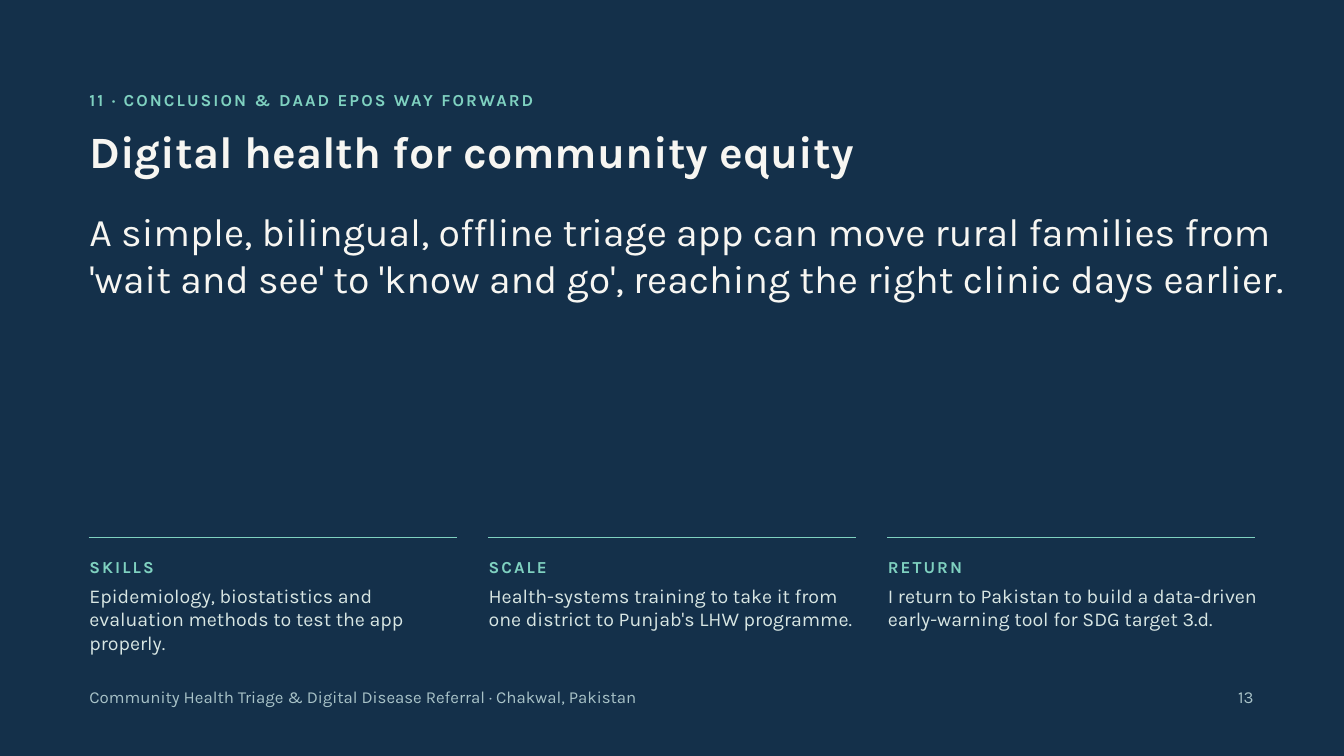
from dataclasses import dataclass

from lxml.etree import SubElement
from pptx import Presentation
from pptx.dml.color import RGBColor as RGB
from pptx.enum.shapes import MSO_CONNECTOR as CONN
from pptx.enum.text import MSO_ANCHOR as ANCHOR, MSO_AUTO_SIZE as FIT, PP_ALIGN as ALIGN
from pptx.oxml.ns import qn
from pptx.util import Cm, Pt


@dataclass(frozen=True)
class Style:
    size: float
    color: RGB
    bold: bool = False
    leading: float = 21.6
    tracking: float = 0


@dataclass(frozen=True)
class Theme:
    font: str = "Karla"
    background: RGB = RGB(0x14, 0x30, 0x4A)
    accent: RGB = RGB(0x7F, 0xD1, 0xC0)
    rule: float = 0.75
    label: Style = Style(18, RGB(0x7F, 0xD1, 0xC0), True, tracking=2.2)
    title: Style = Style(48, RGB(0xF7, 0xF6, 0xF2), True, 57.6)
    statement: Style = Style(42, RGB(0xF7, 0xF6, 0xF2), leading=50.4)
    detail: Style = Style(21, RGB(0xD8, 0xE6, 0xE3), leading=25.2)
    footer: Style = Style(18, RGB(0xA9, 0xC3, 0xC8))


THEME = Theme()
LINE_H = 0.99

COLUMNS = [
    ("SKILLS", "Epidemiology, biostatistics and evaluation methods to test the app properly."),
    ("SCALE", "Health-systems training to take it from one district to Punjab's LHW programme."),
    ("RETURN", "I return to Pakistan to build a data-driven early-warning tool for SDG target 3.d."),
]


def write(sp, text, style, align=ALIGN.LEFT):
    """Fill a text shape with one styled paragraph and no margins."""
    tf = sp.text_frame
    tf.word_wrap = True
    tf.auto_size = FIT.NONE
    tf.vertical_anchor = ANCHOR.TOP
    tf.margin_left = tf.margin_top = tf.margin_right = tf.margin_bottom = 0
    p = tf.paragraphs[0]
    p.alignment = align
    p.line_spacing = Pt(style.leading)
    p.space_before = Pt(0)
    r = p.add_run()
    r.text = text
    r.font.name = THEME.font
    r.font.size = Pt(style.size)
    r.font.bold = style.bold
    r.font.color.rgb = style.color
    if style.tracking:
        r.font._element.set("spc", str(round(style.tracking * 100)))
    return p


def add_text(s, x, y, w, h, text, style, align=ALIGN.LEFT):
    write(s.shapes.add_textbox(Cm(x), Cm(y), Cm(w), Cm(h)), text, style, align)


def place(sp, x, y, w, h):
    sp.left, sp.top, sp.width, sp.height = Cm(x), Cm(y), Cm(w), Cm(h)


def add_heading(s, x, y, w, eyebrow, title):
    add_text(s, x, y, w, LINE_H, eyebrow, THEME.label)
    place(s.shapes.title, x, y + 1.29, w, 2)
    write(s.shapes.title, title, THEME.title)


def add_statement(s, x, y, w, h, text):
    body = s.placeholders[1]
    place(body, x, y, w, h)
    p = write(body, text, THEME.statement)
    pPr = p._p.get_or_add_pPr()
    pPr.set("marL", "0")
    pPr.set("indent", "0")
    SubElement(pPr, qn("a:buNone"))


def add_column(s, x, y, w, label, detail):
    """Rule on top, then a label and its detail text."""
    rule = s.shapes.add_connector(CONN.STRAIGHT, Cm(x - 0.03), Cm(y), Cm(x + w - 0.36), Cm(y))
    rule.line.color.rgb = THEME.accent
    rule.line.width = Pt(THEME.rule)
    SubElement(rule._element.spPr, qn("a:effectLst"))
    add_text(s, x, y + 0.72, w, LINE_H, label, THEME.label)
    add_text(s, x, y + 1.76, w, 2.92, detail, THEME.detail)


def add_columns(s, x, y, w, gap, columns):
    col_w = (w - gap * (len(columns) - 1)) / len(columns)
    for i, (label, detail) in enumerate(columns):
        add_column(s, x + i * (col_w + gap), y, col_w, label, detail)


def add_footer(s, x, y, w, text, number):
    number_w = 3.8
    add_text(s, x, y, 32.4, LINE_H, text, THEME.footer)
    add_text(s, x + w - number_w, y, number_w, LINE_H, number, THEME.footer, ALIGN.RIGHT)


def main():
    prs = Presentation()
    prs.slide_width, prs.slide_height = Cm(50.8), Cm(28.58)
    s = prs.slides.add_slide(prs.slide_layouts[1])
    s.background.fill.solid()
    s.background.fill.fore_color.rgb = THEME.background

    left, width = 3.38, 44
    add_heading(s, left, 3.38, width, "11 · CONCLUSION & DAAD EPOS WAY FORWARD",
                "Digital health for community equity")
    add_statement(s, left, 7.82, 45.34, 6.2,
                  "A simple, bilingual, offline triage app can move rural families from "
                  "'wait and see' to 'know and go', reaching the right clinic days earlier.")
    add_columns(s, left, 20.31, 44.43, 0.84, COLUMNS)
    add_footer(s, left, 25.98, width,
               "Community Health Triage & Digital Disease Referral · Chakwal, Pakistan", "13")
    prs.save("out.pptx")


if __name__ == "__main__":
    main()
